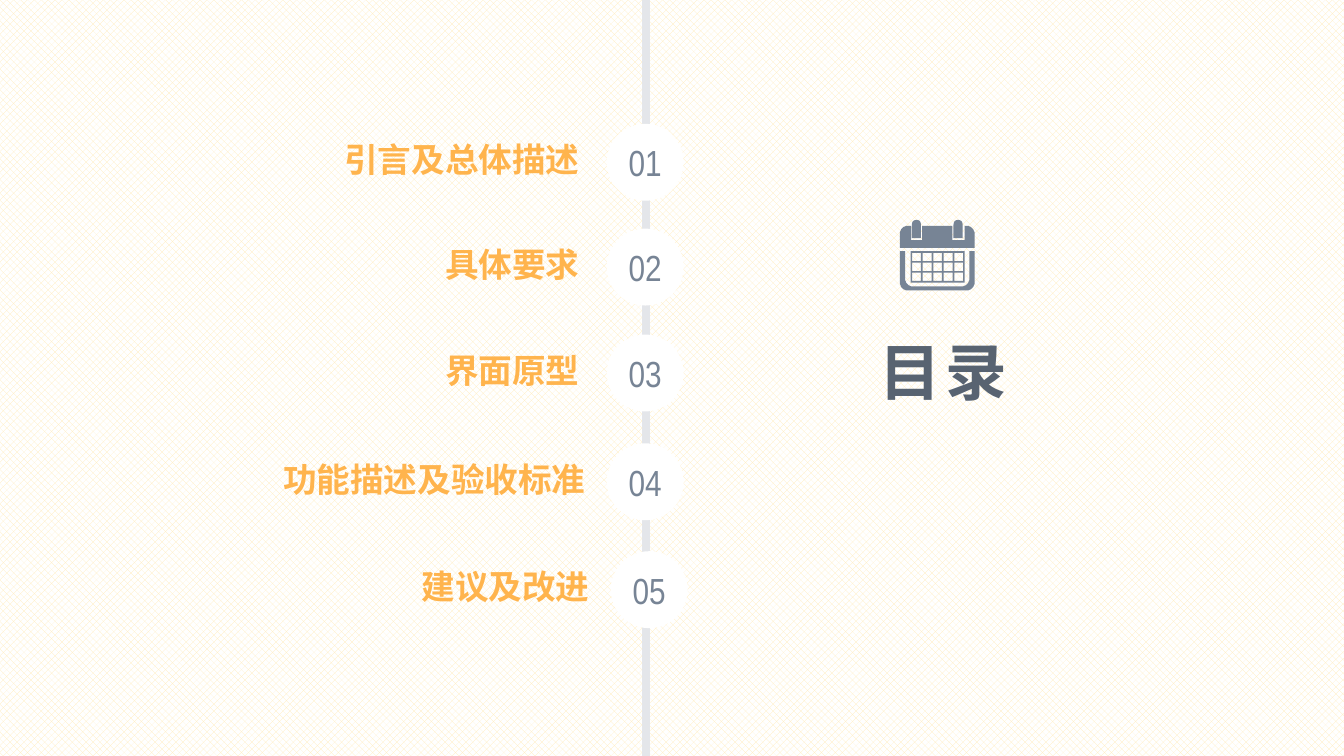
"""Build the contents slide: five numbered topics on a timeline, with title and calendar."""
import math

import pptx
import pptx.dml.color
import pptx.enum.dml
import pptx.enum.shapes
import pptx.enum.text
import pptx.oxml.ns
import pptx.util
from lxml import etree

Cm, Pt = pptx.util.Cm, pptx.util.Pt
Align = pptx.enum.text.PP_ALIGN
Anchor = pptx.enum.text.MSO_ANCHOR
Shape = pptx.enum.shapes.MSO_SHAPE

theme = {
    "paper": "FFFFFF", "weave": "FFEBB8", "bar": "E4E6EA",
    "slate": "778495", "ink": "586371", "gold": "FFB44D",
    "font": "Arial", "thin": "Arial Narrow",
    "title": 44, "topic": 24, "number": 25.9, "line": 36,
}


def color(name):
    return pptx.dml.color.RGBColor.from_string(theme[name])


def style(part, font, size, ink, bold=False):
    for run in part.runs:
        run.font.name = theme[font]
        run.font.size = Pt(theme[size])
        run.font.color.rgb = color(ink)
        run.font.bold = bold


deck = pptx.Presentation()
deck.slide_width, deck.slide_height = Cm(33.87), Cm(19.05)
slide = deck.slides.add_slide(deck.slide_layouts[1])
shapes = slide.shapes

back = slide.background.fill
back.patterned()
back.pattern = pptx.enum.dml.MSO_PATTERN.PERCENT_50
back.fore_color.rgb = color("weave")
back.back_color.rgb = color("paper")

bar = shapes.add_shape(Shape.RECTANGLE, Cm(16.18), 0, Cm(0.2), deck.slide_height)
bar.shadow.inherit = False
bar.fill.solid()
bar.fill.fore_color.rgb = color("bar")
bar.line.fill.background()

topics = [
    ("引言及总体描述", 15.37, 3.2, 0.25),
    ("具体要求", 15.37, 5.84, 0.25),
    ("界面原型", 15.37, 8.51, 0.25),
    ("功能描述及验收标准", 15.37, 11.25, 0.1),
    ("建议及改进", 15.47, 13.97, 0),
]

body = slide.placeholders[1]
body.left, body.top, body.width, body.height = Cm(4.5), Cm(3.12), Cm(10.61), Cm(12.5)
frame = body.text_frame
frame.auto_size = pptx.enum.text.MSO_AUTO_SIZE.NONE
frame.vertical_anchor = Anchor.TOP
frame.text = "\n".join(topic[0] for topic in topics)

last = None
for index, (name, left, top, inset) in enumerate(topics):
    item = frame.paragraphs[index]
    item.alignment = Align.RIGHT
    item.line_spacing = Pt(theme["line"])
    item.space_before = Pt(0) if last is None else Cm(top - last) - Pt(theme["line"])
    last = top
    props = item._p.get_or_add_pPr()
    for key, value in (("marL", 0), ("marR", Cm(inset)), ("indent", 0)):
        props.set(key, str(int(value)))
    etree.SubElement(props, pptx.oxml.ns.qn("a:buNone"))
    style(item, "font", "topic", "gold", True)

    disc = shapes.add_shape(Shape.OVAL, Cm(left), Cm(top), Cm(1.78), Cm(1.78))
    disc.shadow.inherit = False
    disc.fill.solid()
    disc.fill.fore_color.rgb = color("paper")
    disc.line.color.rgb = color("paper")
    disc.line.width = Pt(4.5)
    label = disc.text_frame
    label.word_wrap = False
    label.vertical_anchor = Anchor.MIDDLE
    label.text = f"{index + 1:02}"
    label.paragraphs[0].alignment = Align.CENTER
    style(label.paragraphs[0], "thin", "number", "slate")

title = shapes.title
title.left, title.top, title.width, title.height = Cm(21.92), Cm(8.05), Cm(8.23), Cm(1.68)
heading = title.text_frame
heading.auto_size = pptx.enum.text.MSO_AUTO_SIZE.NONE
heading.word_wrap = False
heading.vertical_anchor = Anchor.MIDDLE
heading.text = "目录"
line = heading.paragraphs[0]
line.alignment = Align.LEFT
line.line_spacing = 1.5
style(line, "font", "title", "ink", True)
line.runs[0].font._element.set("spc", "300")


def arc(x, y, size, start, sweep=90):
    steps = [math.radians(start + sweep * step / 8) for step in range(9)]
    return [(x + size * math.cos(turn), y + size * math.sin(turn)) for turn in steps]


rings = [
    [(0, 79), (13, 79), *arc(33, 148, 20, 180, -90), *arc(155, 148, 20, 90, -90),
     (175, 79), (188, 79), *arc(168, 158, 20, 0), *arc(20, 158, 20, 90)],
    [(27, 79), (163, 79), (163, 158), (27, 158)],
    [*arc(20, 35, 20, 180), (28, 15), (28, 51), (56, 51), (56, 15),
     (132, 15), (132, 51), (163, 51), (163, 15), *arc(168, 35, 20, 270),
     (188, 71), (0, 71)],
]
for x in (30, 135):
    rings.append([*arc(x + 11.5, 11.5, 11.5, 180, 180), (x + 23, 46), (x, 46)])
for row in range(3):
    for col in range(5):
        x, y = 31 + 26.4 * col, 83 + 25 * row
        rings.append([(x, y), (x + 22.4, y), (x + 22.4, y + 21), (x, y + 21)])

pen = shapes.build_freeform(*rings[0][0], scale=Cm(0.01))
for ring in rings:
    pen.move_to(*ring[0])
    pen.add_line_segments(ring[1:], close=True)
icon = pen.convert_to_shape(Cm(22.68), Cm(5.54))
icon.shadow.inherit = False
icon.fill.solid()
icon.fill.fore_color.rgb = color("slate")
icon.line.fill.background()

deck.save("out.pptx")
